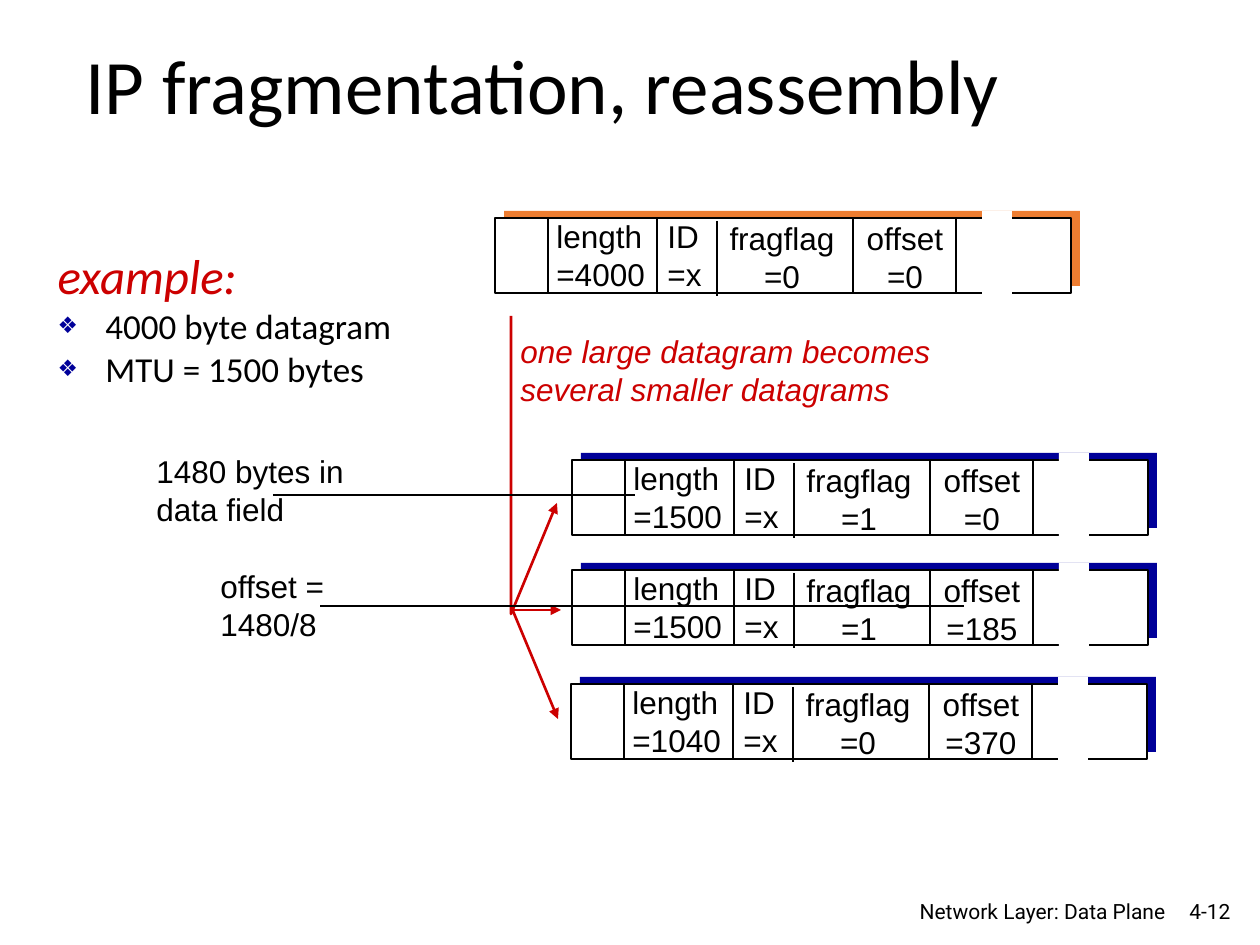
"""Builds the slide on IP fragmentation and reassembly."""
from lxml import etree
from pptx import Presentation, util as u
from pptx.dml.color import RGBColor
from pptx.enum import shapes, text
from pptx.oxml.ns import qn

BLACK = RGBColor(0, 0, 0)
WHITE = RGBColor(255, 255, 255)
RED = RGBColor(0xCC, 0, 0)
NAVY = RGBColor(0, 0, 0x99)
ORANGE = RGBColor(0xED, 0x7D, 0x31)
LEFT, CENTER, RIGHT = text.PP_ALIGN.LEFT, text.PP_ALIGN.CENTER, text.PP_ALIGN.RIGHT

TITLE = "IP fragmentation, reassembly"
EXAMPLE = ["example:", "4000 byte datagram", "MTU = 1500 bytes"]
DATAGRAMS = [
    (495, 218, ORANGE, "4000", "x", "0", "0"),
    (572, 460, NAVY, "1500", "x", "1", "0"),
    (572, 570, NAVY, "1500", "x", "1", "185"),
    (571, 684, NAVY, "1040", "x", "0", "370"),
]
FIELDS = [
    ("length", 49, -7, 118, LEFT),
    ("ID", 160, -7, 59, LEFT),
    ("fragflag", 222, -5, 130, CENTER),
    ("offset", 359, -5, 102, CENTER),
]
DIVIDERS = [(53, 0), (162, 0), (222, 3), (358, 0), (461, 0)]
BOX_W, BOX_H = 576, 75
LABELS = [
    ("one large datagram becomes\nseveral smaller datagrams", 508, 326, 435, RED),
    ("1480 bytes in \vdata field", 144, 446, 222, BLACK),
    ("offset =\n1480/8 ", 208, 561, 130, BLACK),
]
SPLIT_PATH = [(511, 316), (511, 614), (557, 503)]
SPLIT_ARROWS = [((511, 610), (561, 610)), ((513, 611), (558, 719))]
POINTERS = [((273, 495), (635, 495)), ((964, 606), (320, 606))]
FOOTER = [
    ("4-12", 1166, 892, 77, 38, text.MSO_ANCHOR.MIDDLE),
    ("Network Layer: Data Plane", 878, 892, 300, 33, text.MSO_ANCHOR.TOP),
]

SCALE = 914400 / 126


def px(*lengths):
    return [u.Emu(round(n * SCALE)) for n in lengths]


def style(p, font, size, color, align=LEFT, italic=False):
    p.alignment = align
    for r in p.runs:
        r.font.name, r.font.size, r.font.italic = font, u.Pt(size), italic
        r.font.color.rgb = color


def place(sp, x, y, w, h):
    sp.left, sp.top, sp.width, sp.height = px(x, y, w, h)


def add_text(s, words, x, y, w, h=88, font="Arial", size=18, color=BLACK,
             align=LEFT, italic=False):
    tf = s.shapes.add_textbox(*px(x, y, w, h)).text_frame
    tf.text = words
    tf.word_wrap = False
    tf.auto_size = text.MSO_AUTO_SIZE.SHAPE_TO_FIT_TEXT
    for p in tf.paragraphs:
        style(p, font, size, color, align, italic)
    return tf


def add_box(s, x, y, w, h, fill, line=None):
    sp = s.shapes.add_shape(shapes.MSO_SHAPE.RECTANGLE, *px(x, y, w, h))
    sp.shadow.inherit = False
    sp.fill.solid()
    sp.fill.fore_color.rgb = fill
    if line is None:
        sp.line.fill.background()
    else:
        sp.line.color.rgb, sp.line.width = line, u.Pt(1.5)


def set_line(sp, color, width, arrow):
    sp.line.color.rgb, sp.line.width = color, u.Pt(width)
    if arrow:
        etree.SubElement(sp.line._get_or_add_ln(), qn("a:tailEnd"), type="triangle")


def add_line(s, start, end, color=BLACK, width=1.5, arrow=False):
    sp = s.shapes.add_connector(shapes.MSO_CONNECTOR.STRAIGHT, *px(*start, *end))
    set_line(sp, color, width, arrow)
    etree.SubElement(sp._element.spPr, qn("a:effectLst"))


def add_datagram(s, x, y, shade, *values):
    add_box(s, x + 9, y - 7, BOX_W, BOX_H, shade)
    add_box(s, x, y, BOX_W, BOX_H, WHITE, BLACK)
    for (name, dx, dy, w, align), value in zip(FIELDS, values):
        add_text(s, f"{name}\n={value}", x + dx, y + dy, w, align=align)
    for dx, dy in DIVIDERS:
        add_line(s, (x + dx, y + dy), (x + dx, y + dy + BOX_H))
    add_box(s, x + 487, y - 7, 30, 83, WHITE)


def set_bullet(p, bulleted):
    pPr = p._p.get_or_add_pPr()
    pPr.set("marL", str(u.Inches(0.38)))
    pPr.set("indent", str(-u.Inches(0.38)))
    if not bulleted:
        etree.SubElement(pPr, qn("a:buNone"))
        return
    clr = etree.SubElement(pPr, qn("a:buClr"))
    etree.SubElement(clr, qn("a:srgbClr"), val=str(NAVY))
    etree.SubElement(pPr, qn("a:buSzPct"), val="65000")
    etree.SubElement(pPr, qn("a:buChar"), char="❖")


prs = Presentation()
prs.slide_width, prs.slide_height = u.Inches(10), u.Inches(7.5)
s = prs.slides.add_slide(prs.slide_layouts[1])
title, body = s.placeholders

place(title, 73, 25, 1071, 129)
tf = title.text_frame
tf.text = TITLE
tf.auto_size = text.MSO_AUTO_SIZE.NONE
tf.vertical_anchor = text.MSO_ANCHOR.MIDDLE
tf.paragraphs[0].line_spacing = 0.9
style(tf.paragraphs[0], "Calibri", 44, BLACK)

place(body, 45, 248, 391, 232)
tf = body.text_frame
tf.text = "\n".join(EXAMPLE)
tf.auto_size = text.MSO_AUTO_SIZE.NONE
for i, p in enumerate(tf.paragraphs):
    p.line_spacing = 0.85
    style(p, "Calibri", 20 if i else 28, BLACK if i else RED, italic=not i)
    set_bullet(p, i > 0)

for datagram in DATAGRAMS:
    add_datagram(s, *datagram)

builder = s.shapes.build_freeform(*SPLIT_PATH[0], scale=SCALE)
builder.add_line_segments(SPLIT_PATH[1:], close=False)
split = builder.convert_to_shape()
split.shadow.inherit = False
split.fill.background()
set_line(split, RED, 1.5, True)
for start, end in SPLIT_ARROWS:
    add_line(s, start, end, RED, arrow=True)

for words, x, y, w, color in LABELS:
    add_text(s, words, x, y, w, color=color, italic=color == RED)
for start, end in POINTERS:
    add_line(s, start, end, width=0.75)

for words, x, y, w, h, anchor in FOOTER:
    tf = add_text(s, words, x, y, w, h, "Roboto", 12, BLACK, RIGHT)
    tf.auto_size, tf.word_wrap = text.MSO_AUTO_SIZE.NONE, True
    tf.vertical_anchor = anchor

prs.save("out.pptx")
